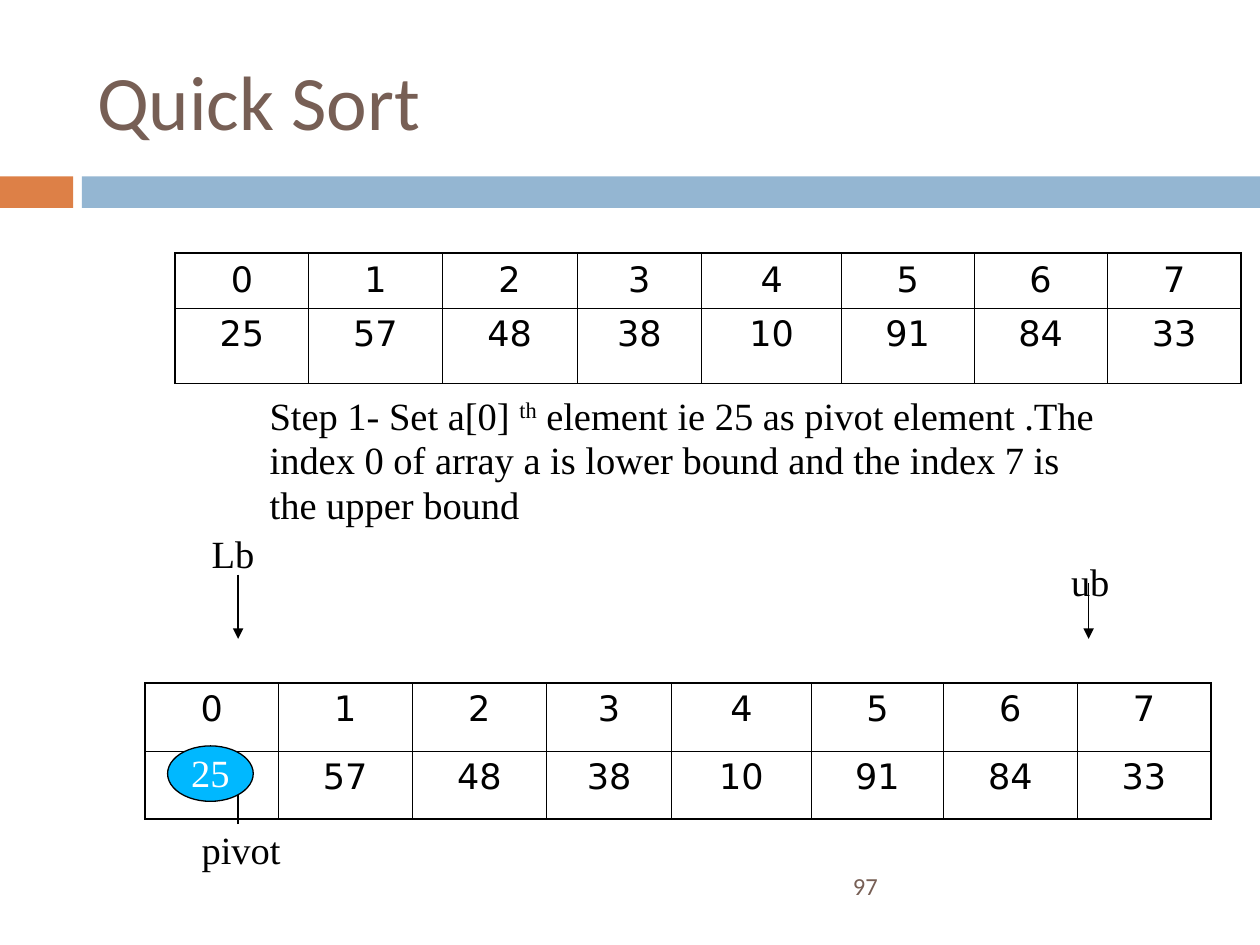
from lxml.etree import SubElement
from pptx import Presentation
from pptx.dml.color import RGBColor
from pptx.enum.shapes import MSO_CONNECTOR, MSO_SHAPE
from pptx.enum.text import MSO_ANCHOR, MSO_AUTO_SIZE, PP_ALIGN
from pptx.oxml.ns import qn
from pptx.util import Inches, Pt

THEME = {
    "black": RGBColor.from_string("000000"),
    "white": RGBColor.from_string("FFFFFF"),
    "brown": RGBColor.from_string("775F55"),
    "orange": RGBColor.from_string("DD8047"),
    "blue": RGBColor.from_string("94B6D2"),
    "pivot": RGBColor.from_string("00B8FF"),
    "title": {"name": "Calibri", "size": Pt(44)},
    "number": {"name": "Calibri", "size": Pt(14)},
    "note": {"name": "Times New Roman", "size": Pt(22)},
    "cell": {"name": "DejaVu Sans", "size": Pt(20)},
    "thin": Pt(0.45),
    "thick": Pt(1.08),
    "outline": Pt(0.75),
}


def style_font(font, style, color):
    for name, value in THEME[style].items():
        setattr(font, name, value)
    font.color.rgb = THEME[color]


def format_note(frame, color="black", wrap=False):
    settings = {"word_wrap": wrap, "margin_left": Inches(0.09), "margin_right": Inches(0.09),
                "margin_top": Inches(0.04), "margin_bottom": Inches(0.04)}
    for name, value in settings.items():
        setattr(frame, name, value)
    para = frame.paragraphs[0]
    para.line_spacing = 0.97
    for span in para.runs:
        style_font(span.font, "note", color)


deck = Presentation()
deck.slide_width, deck.slide_height = Inches(10), Inches(7.5)
page = deck.slides.add_slide(deck.slide_layouts[5])

# Header bars
for left, width, color in [(0, 0.58, "orange"), (0.65, 9.35, "blue")]:
    bar = page.shapes.add_shape(MSO_SHAPE.RECTANGLE, Inches(left), Inches(1.4),
                                Inches(width), Inches(0.25))
    bar.shadow.inherit = False
    bar.fill.solid()
    bar.fill.fore_color.rgb = THEME[color]
    bar.line.fill.background()

# Title
title = page.shapes.title
title.left, title.top, title.width, title.height = map(Inches, (0.67, 0.25, 8.92, 1.08))
title.text_frame.text = "Quick Sort"
title.text_frame.vertical_anchor = MSO_ANCHOR.MIDDLE
para = title.text_frame.paragraphs[0]
para.alignment = PP_ALIGN.LEFT
style_font(para.runs[0].font, "title", "brown")

# Page number
number = page.shapes.add_textbox(Inches(6.67), Inches(6.83), Inches(2.92), Inches(0.4))
number.text_frame.text = "97"
number.text_frame.word_wrap = True
number.text_frame.vertical_anchor = MSO_ANCHOR.MIDDLE
style_font(number.text_frame.paragraphs[0].runs[0].font, "number", "brown")

# Array tables: indexes above values
array = [25, 57, 48, 38, 10, 91, 84, 33]
array_rows = [range(len(array)), array]
column_widths = [1.06, 1.06, 1.07, 0.99, 1.11, 1.05, 1.06, 1.06]
last_column = len(array) - 1
for left, top, row_heights in [(1.39, 2.01, (0.42, 0.6)), (1.15, 5.42, (0.54, 0.54))]:
    table = page.shapes.add_table(2, len(array), Inches(left), Inches(top),
                                  Inches(sum(column_widths)), Inches(sum(row_heights))).table
    table.first_row = table.horz_banding = False
    for column, width in zip(table.columns, column_widths):
        column.width = Inches(width)
    for r, (height, values) in enumerate(zip(row_heights, array_rows)):
        table.rows[r].height = Inches(height)
        for c, value in enumerate(values):
            cell = table.cell(r, c)
            cell.text = str(value)
            cell.margin_left = cell.margin_right = Inches(0.09)
            para = cell.text_frame.paragraphs[0]
            para.alignment = PP_ALIGN.CENTER
            style_font(para.runs[0].font, "cell", "black")
            # The outer frame is thicker than the inner grid
            outer = {"lnL": c == 0, "lnR": c == last_column, "lnT": r == 0, "lnB": r == 1}
            for side, is_outer in outer.items():
                border = SubElement(cell._tc.get_or_add_tcPr(), qn(f"a:{side}"),
                                    w=str(THEME["thick" if is_outer else "thin"]))
                border_fill = SubElement(border, qn("a:solidFill"))
                SubElement(border_fill, qn("a:srgbClr"), val=str(THEME["black"]))
            cell.fill.background()

# Step explanation
step = page.shapes.add_textbox(Inches(2.05), Inches(3.09), Inches(6.89), Inches(1.16))
para = step.text_frame.paragraphs[0]
for words, baseline in [
    ("Step 1- Set a[0] ", 0),
    ("th", 30000),
    (" element ie 25 as pivot element .The index 0 of array a is lower bound "
     "and the index 7 is the upper bound", 0),
]:
    span = para.add_run()
    span.text = words
    if baseline:
        span._r.get_or_add_rPr().set("baseline", str(baseline))
format_note(step.text_frame, wrap=True)
step.text_frame.auto_size = MSO_AUTO_SIZE.SHAPE_TO_FIT_TEXT

# Arrows for pivot, lower bound and upper bound
for x, start, end in [(1.89, 6.54, 6.03), (1.89, 4.56, 5.07), (8.64, 4.63, 5.07)]:
    arrow = page.shapes.add_connector(MSO_CONNECTOR.STRAIGHT, Inches(x), Inches(start),
                                      Inches(x), Inches(end))
    arrow.line.color.rgb = THEME["black"]
    arrow.line.width = THEME["outline"]
    SubElement(arrow.line._get_or_add_ln(), qn("a:tailEnd"), type="triangle")
    SubElement(arrow._element.spPr, qn("a:effectLst"))

# Marker labels
for words, left, top, width in [("Lb", 1.59, 4.19, 0.52), ("ub", 8.41, 4.41, 0.49),
                                ("pivot", 1.51, 6.54, 0.81)]:
    label = page.shapes.add_textbox(Inches(left), Inches(top), Inches(width), Inches(0.45))
    label.text_frame.text = words
    format_note(label.text_frame)
    label.text_frame.auto_size = MSO_AUTO_SIZE.SHAPE_TO_FIT_TEXT

# Pivot highlight
pivot = page.shapes.add_shape(MSO_SHAPE.OVAL, Inches(1.33), Inches(5.92),
                              Inches(0.68), Inches(0.44))
pivot.shadow.inherit = False
pivot.fill.solid()
pivot.fill.fore_color.rgb = THEME["pivot"]
pivot.line.color.rgb = THEME["black"]
pivot.line.width = THEME["outline"]
pivot.text_frame.text = "25"
pivot.text_frame.vertical_anchor = MSO_ANCHOR.MIDDLE
pivot.text_frame.paragraphs[0].alignment = PP_ALIGN.CENTER
format_note(pivot.text_frame, "white")

deck.save("out.pptx")
